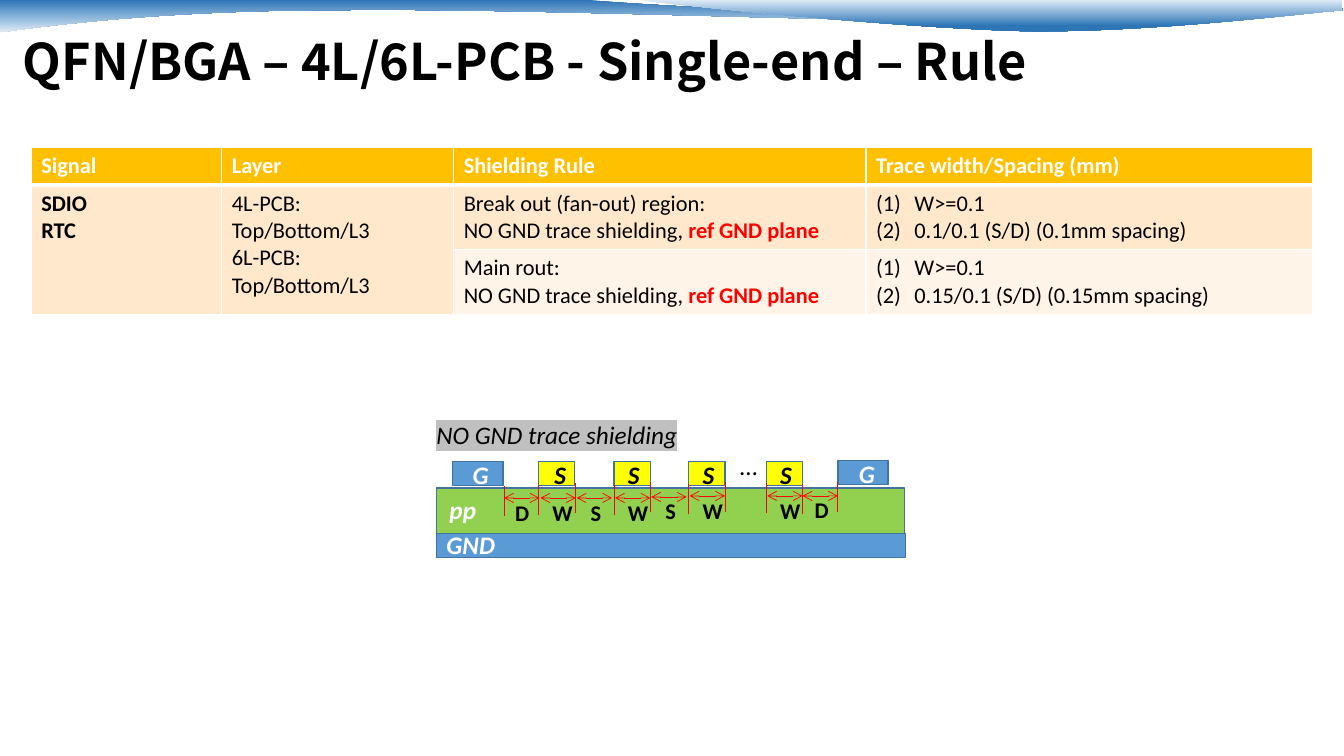
from dataclasses import dataclass

from lxml import etree
from pptx import Presentation
from pptx.dml.color import RGBColor
from pptx.enum.shapes import MSO_CONNECTOR, MSO_SHAPE
from pptx.enum.text import MSO_ANCHOR, MSO_AUTO_SIZE
from pptx.oxml import parse_xml
from pptx.oxml.ns import nsdecls, qn
from pptx.util import Inches, Pt

RECT = MSO_SHAPE.RECTANGLE
STRAIGHT = MSO_CONNECTOR.STRAIGHT
BOTTOM = MSO_ANCHOR.BOTTOM
GROW = MSO_AUTO_SIZE.SHAPE_TO_FIT_TEXT
FIXED = MSO_AUTO_SIZE.NONE


@dataclass(frozen=True)
class Theme:
    title_font: str = "Noto Sans CJK TC"
    font: str = "Calibri"
    title_size: int = 36
    label_size: int = 18
    small_size: int = 16
    black: str = "000000"
    white: str = "FFFFFF"
    red: str = "FF0000"
    wave_dark: str = "2E75B6"
    wave_light: str = "DEEBF7"
    header: str = "FFC000"
    band: str = "FFE8CC"
    band_light: str = "FFF4E7"
    ground: str = "5B9BD5"
    outline: str = "43739E"
    prepreg: str = "92D050"
    signal: str = "FFFF00"
    highlight: str = "C0C0C0"


T = Theme()


def rgb(color):
    return RGBColor.from_string(color)


def write(p, text, size=T.small_size, color=T.black, bold=False, italic=False,
          font=T.font, highlight=None):
    """Add text to a paragraph; a newline becomes a line break."""
    for i, line in enumerate(text.split("\n")):
        if i:
            p.add_line_break()
        if not line:
            continue
        r = p.add_run()
        r.text = line
        r.font.size, r.font.name = Pt(size), font
        r.font.bold, r.font.italic = bold, italic
        r.font.color.rgb = rgb(color)
        if highlight:
            mark = parse_xml(f'<a:highlight {nsdecls("a")}><a:srgbClr val="{highlight}"/></a:highlight>')
            r.font.fill._xPr.find(qn("a:solidFill")).addnext(mark)


class SlideBuilder:
    def __init__(self, prs, theme):
        self.theme = theme
        self.slide = prs.slides.add_slide(prs.slide_layouts[6])
        self.shapes = self.slide.shapes

    def group(self):
        self.shapes = self.slide.shapes.add_group_shape().shapes

    def end_group(self):
        self.shapes = self.slide.shapes

    def wave(self, start, segments, stops):
        """A segment holds one point for a line, three for a curve."""
        points = [(Inches(x), Inches(y)) for seg in segments for x, y in seg]
        fb = self.shapes.build_freeform(Inches(start[0]), Inches(start[1]))
        fb.add_line_segments(points, close=True)
        sp = fb.convert_to_shape()
        # Join each three control points into one cubic curve
        lines = iter(list(sp._element.iter(qn("a:lnTo"))))
        for seg in segments:
            parts = [next(lines) for _ in seg]
            if len(seg) == 3:
                curve = etree.Element(qn("a:cubicBezTo"))
                parts[0].addprevious(curve)
                for part in parts:
                    curve.append(part[0])
                    part.getparent().remove(part)
        sp.shadow.inherit = False
        sp.line.fill.background()
        sp.fill.gradient()
        sp.fill.gradient_angle = 270
        for stop, (position, color) in zip(sp.fill.gradient_stops, stops):
            stop.position, stop.color.rgb = position, rgb(color)

    def rect(self, x, y, w, h, fill):
        sp = self.shapes.add_shape(RECT, Inches(x), Inches(y), Inches(w), Inches(h))
        sp.shadow.inherit = False
        sp.fill.solid()
        sp.fill.fore_color.rgb = rgb(fill)
        sp.line.color.rgb, sp.line.width = rgb(self.theme.outline), Pt(1)

    def text(self, x, y, w, h, text, wrap=False, **fmt):
        sp = self.shapes.add_textbox(Inches(x), Inches(y), Inches(w), Inches(h))
        tf = sp.text_frame
        tf.word_wrap, tf.auto_size = wrap, GROW
        write(tf.paragraphs[0], text, **fmt)
        return tf

    def title(self, text):
        tf = self.text(0.13, 0.12, 12.26, 0.79, text, wrap=True, bold=True,
                       size=self.theme.title_size, font=self.theme.title_font)
        tf.auto_size, tf.vertical_anchor = FIXED, BOTTOM
        tf.margin_top = tf.margin_bottom = 0
        tf.paragraphs[0].line_spacing = 0.9

    def line(self, x1, y1, x2, y2, arrows=False):
        c = self.shapes.add_connector(STRAIGHT, Inches(x1), Inches(y1), Inches(x2), Inches(y2))
        c.line.color.rgb, c.line.width = rgb(self.theme.red), Pt(0.5)
        if arrows:
            for end in ("a:headEnd", "a:tailEnd"):
                etree.SubElement(c.line._get_or_add_ln(), qn(end), type="arrow")
        etree.SubElement(c._element.spPr, qn("a:effectLst"))

    def cell(self, cell, paragraphs, fill, top, bottom, numbered=False):
        cell.fill.solid()
        cell.fill.fore_color.rgb = rgb(fill)
        tcPr = cell._tc.get_or_add_tcPr()
        for i, (side, width) in enumerate(zip("LRTB", (1, 1, top, bottom))):
            tcPr.insert(i, parse_xml(
                f'<a:ln{side} {nsdecls("a")} w="{Pt(width)}"><a:solidFill>'
                f'<a:srgbClr val="{self.theme.white}"/></a:solidFill></a:ln{side}>'))
        tf = cell.text_frame
        for i, runs in enumerate(paragraphs):
            p = tf.add_paragraph() if i else tf.paragraphs[0]
            if numbered:
                pPr = p._p.get_or_add_pPr()
                pPr.set("marL", str(Inches(0.38)))
                pPr.set("indent", str(-Inches(0.38)))
                etree.SubElement(pPr, qn("a:buAutoNum"), type="arabicParenBoth")
            for text, fmt in runs:
                write(p, text, **fmt)

    def table(self, x, y, widths, heights, rows, fills):
        table = self.shapes.add_table(len(heights), len(widths), Inches(x), Inches(y),
                                      Inches(sum(widths)), Inches(sum(heights))).table
        for col, w in zip(table.columns, widths):
            col.width = Inches(w)
        for row, h in zip(table.rows, heights):
            row.height = Inches(h)
        for c in (0, 1):
            table.cell(1, c).merge(table.cell(2, c))
        for r, row in enumerate(rows):
            for c, paragraphs in enumerate(row):
                fill = fills[1] if r and c < 2 else fills[r]
                self.cell(table.cell(r, c), paragraphs, fill, top=3 if r == 1 else 1,
                          bottom=1 if r else 3, numbered=r > 0 and c == 3)


def main():
    prs = Presentation()
    prs.slide_width, prs.slide_height = Inches(13.33), Inches(7.5)
    s = SlideBuilder(prs, T)

    # Wave banner
    s.group()
    s.wave((0, 0), [
        [(5.84, 0)],
        [(6.32, 0.05), (8.82, 0.18), (10.09, 0.18)],
        [(11.35, 0.18), (12.75, 0.07), (13.31, 0.03)],
        [(13.32, 0.1)],
        [(13.09, 0.13), (11.57, 0.22), (9.92, 0.22)],
        [(8.27, 0.21), (5.06, 0.08), (3.4, 0.1)],
        [(1.7, 0.1), (0.59, 0.24), (0, 0.32)],
    ], [(0, T.wave_dark), (1, T.wave_light)])
    s.wave((6.36, 0), [
        [(6.77, 0.06), (9.07, 0.29), (10.22, 0.31)],
        [(11.38, 0.32), (12.79, 0.15), (13.31, 0.1)],
        [(13.31, 0)],
    ], [(0, T.wave_light), (0.8, T.wave_dark)])
    s.end_group()
    s.title("QFN/BGA – 4L/6L-PCB - Single-end – Rule")

    # Rule table
    head = dict(color=T.white, bold=True)
    strong = dict(bold=True)
    shield = ("NO GND trace shielding, ", {})
    plane = ("ref GND plane", dict(color=T.red, bold=True))
    width = [("W>=0.1", {})]
    headers = ["Signal", "Layer", "Shielding Rule", "Trace width/Spacing (mm)"]
    s.table(0.31, 1.46, [1.89, 2.3, 4.09, 4.43], [0.36, 0.64, 0.63], [
        [[[(h, head)]] for h in headers],
        [[[("SDIO", strong)], [("RTC", strong)]],
         [[("4L-PCB: \nTop/Bottom/L3", {})], [("6L-PCB:\nTop/Bottom/L3", {})]],
         [[("Break out (fan-out) region:\n", {}), shield, plane]],
         [width, [("0.1/0.1 (S/D) (0.1mm spacing)", {})]]],
        [[], [], [[("Main rout:", {})], [shield, plane]],
         [width, [("0.15/0.1 (S/D) (0.15mm spacing)", {})]]],
    ], [T.header, T.band, T.band_light])

    # Board layers
    s.group()
    label = dict(size=T.label_size, bold=True, italic=True)
    s.rect(4.33, 4.84, 4.64, 0.51, T.prepreg)
    s.rect(4.33, 5.29, 4.65, 0.24, T.ground)
    s.text(4.36, 4.85, 0.5, 0.4, "pp", color=T.white, **label)
    s.text(4.33, 5.2, 0.7, 0.4, "GND", color=T.white, **label)

    # Ground and signal traces
    for x, y, label_x in [(4.49, 4.58, 4.59), (8.31, 4.57, 8.42)]:
        s.rect(x, y, 0.5, 0.24, T.ground)
        s.text(label_x, y - 0.07, 0.36, 0.4, "G", color=T.white, **label)
    for x, label_x in [(5.34, 5.4), (6.09, 6.13), (6.83, 6.87), (7.6, 7.64)]:
        s.rect(x, 4.58, 0.36, 0.24, T.signal)
        s.text(label_x, 4.51, 0.32, 0.4, "S", **label)
    s.text(7.24, 4.42, 0.37, 0.4, "…", size=T.label_size)

    # Edge ticks
    for x, top in [(5, 4.82), (5.34, 4.81), (5.71, 4.79), (6.09, 4.81), (6.45, 4.78),
                   (6.83, 4.8), (7.19, 4.78), (7.6, 4.79), (7.96, 4.8), (8.31, 4.78)]:
        s.line(x, top + 0.3, x, top)

    # Width and spacing dimensions
    label_widths = {"D": 0.25, "W": 0.4, "S": 0.3}
    for name, x, y, label_x, label_y in [
            ("D", 5, 4.94, 5.01, 4.9), ("W", 5.36, 4.94, 5.38, 4.9),
            ("S", 5.72, 4.94, 5.76, 4.9), ("W", 6.1, 4.94, 6.13, 4.9),
            ("S", 6.46, 4.93, 6.5, 4.88), ("W", 6.84, 4.92, 6.87, 4.88),
            ("W", 7.61, 4.92, 7.64, 4.88), ("D", 7.96, 4.92, 7.98, 4.87)]:
        s.line(x, y, x + 0.35, y, arrows=True)
        s.text(label_x, label_y, label_widths[name], 0.37, name, wrap=name == "D", bold=True)
    s.end_group()

    # Diagram caption
    s.text(4.23, 4.11, 2.97, 0.4, "NO GND trace shielding", wrap=True,
           size=T.label_size, italic=True, highlight=T.highlight)
    prs.save("out.pptx")


if __name__ == "__main__":
    main()
